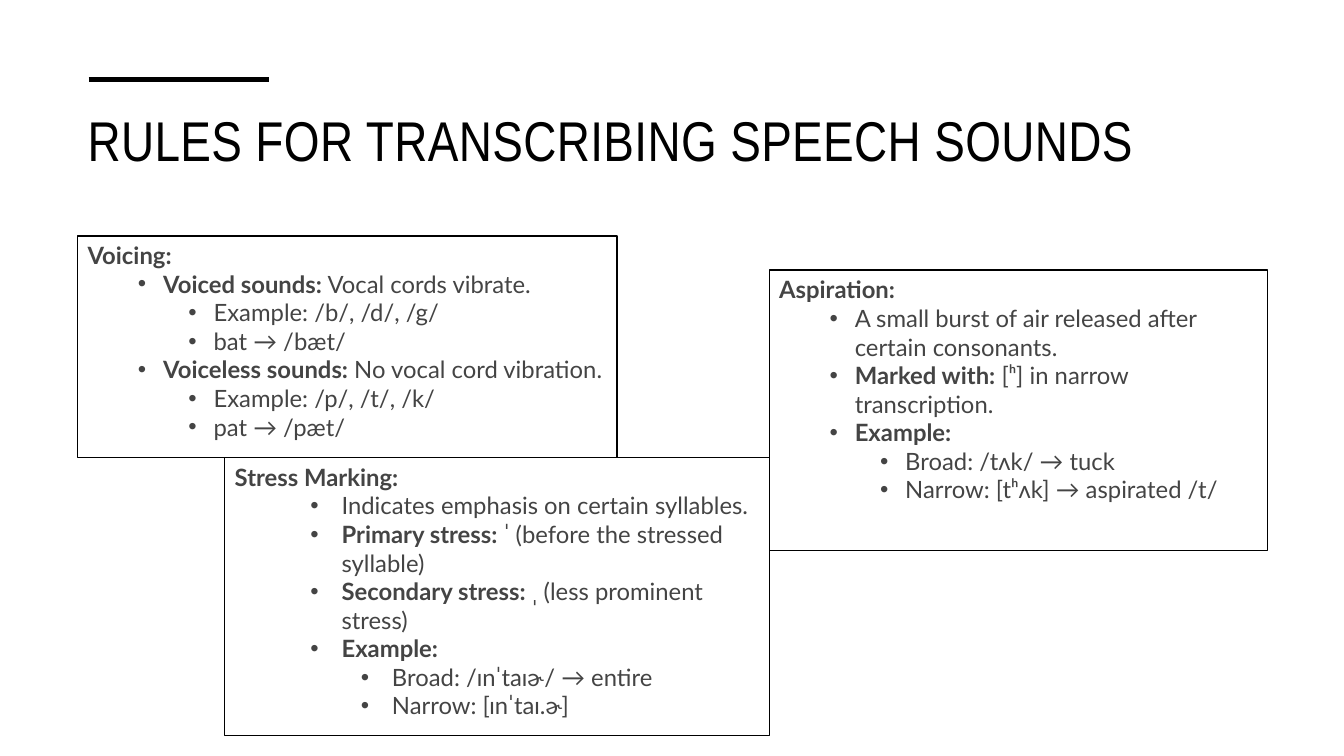
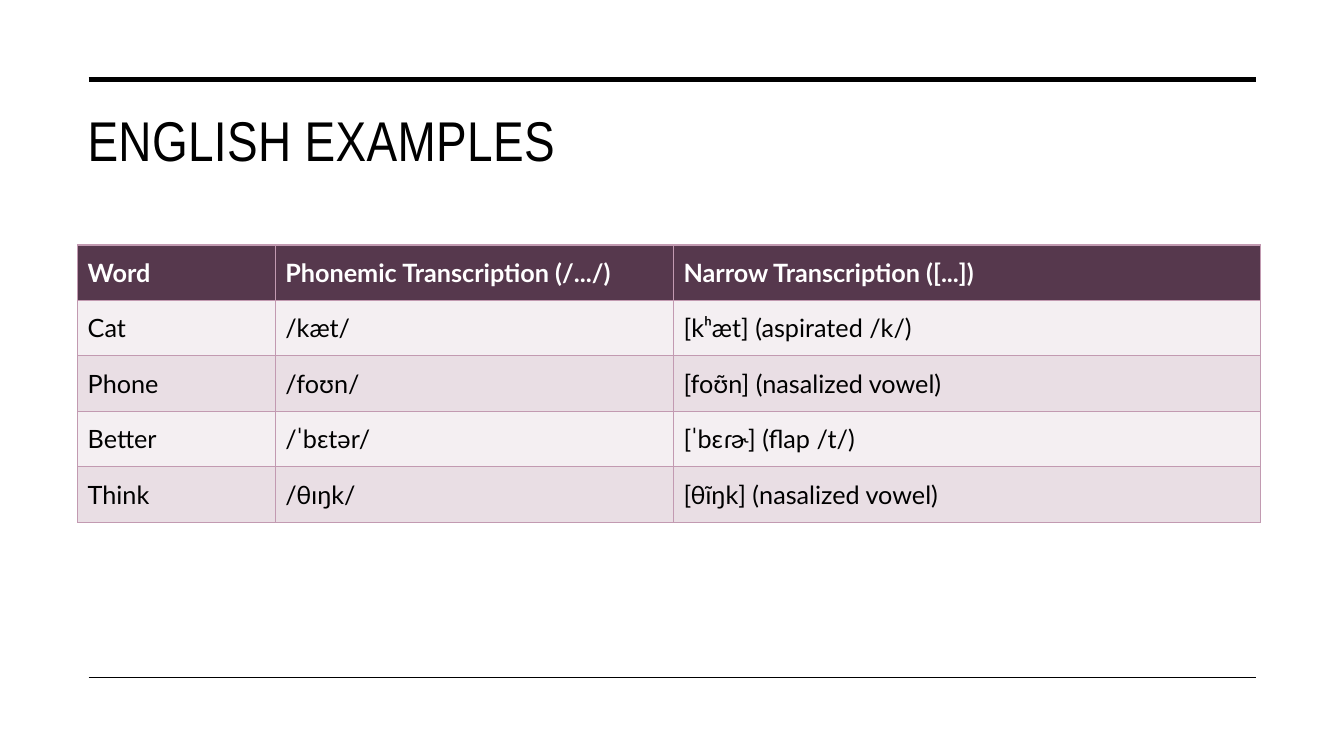
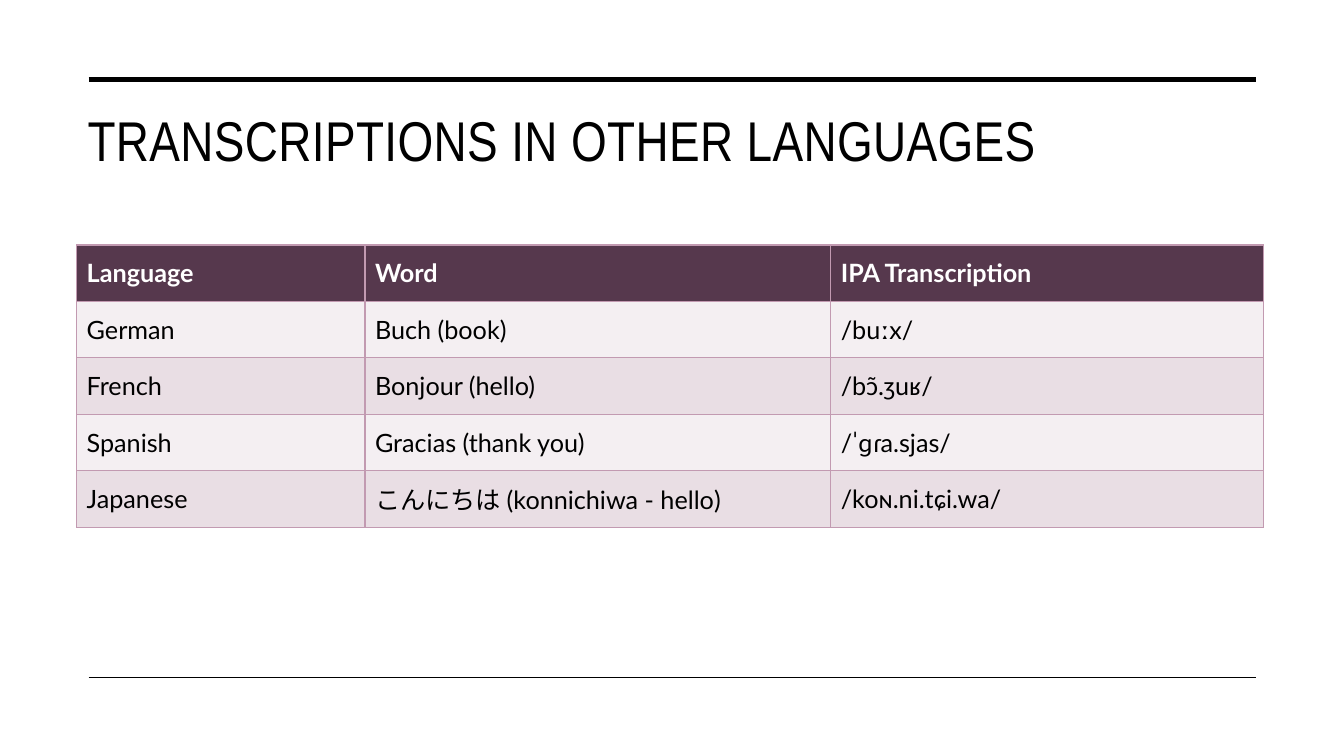
from lxml import etree
from pptx import Presentation
from pptx.dml.color import RGBColor
from pptx.enum.shapes import MSO_CONNECTOR, MSO_SHAPE
from pptx.enum.text import MSO_ANCHOR, PP_ALIGN
from pptx.oxml.ns import qn
from pptx.util import Inches, Pt

STRAIGHT = MSO_CONNECTOR.STRAIGHT
RECTANGLE = MSO_SHAPE.RECTANGLE
TOP, MIDDLE = MSO_ANCHOR.TOP, MSO_ANCHOR.MIDDLE
LEFT = PP_ALIGN.LEFT

BLACK = RGBColor(0x00, 0x00, 0x00)
WHITE = RGBColor(0xFF, 0xFF, 0xFF)
BODY_GREY = RGBColor(0x44, 0x44, 0x44)
HEADER_PLUM = RGBColor(0x56, 0x38, 0x4D)
ROW_TINTS = (RGBColor(0xF4, 0xEF, 0xF2), RGBColor(0xE9, 0xDE, 0xE4))
GRID_MAUVE = RGBColor(0xC2, 0x9A, 0xB1)

TITLE_FONT = {"name": "Arial Narrow", "size": Pt(40)}
BODY_FONT = {"name": "Lato", "size": Pt(17)}
TABLE_FONT = {"name": "Lato", "size": Pt(18)}
TITLE_TRACKING = "30"
TOP_FRAME = {"word_wrap": True, "vertical_anchor": TOP}

RULE_LEFT, RULE_RIGHT = 0.88, 12.46
TOP_RULE, BOTTOM_RULE = 0.79, 6.72
LEVEL_STEP = 0.5

VOICING = [
    (0, "Voicing:", ""),
    (1, "Voiced sounds:", " Vocal cords vibrate."),
    (2, "", "Example: /b/, /d/, /g/"),
    (2, "", "bat → /bæt/"),
    (1, "Voiceless sounds: ", "No vocal cord vibration."),
    (2, "", "Example: /p/, /t/, /k/"),
    (2, "", "pat → /pæt/"),
]
ASPIRATION = [
    (0, "Aspiration:", ""),
    (1, "", "A small burst of air released after certain consonants."),
    (1, "Marked with:", " [ʰ] in narrow transcription."),
    (1, "Example:", ""),
    (2, "", "Broad: /tʌk/ → tuck"),
    (2, "", "Narrow: [tʰʌk] → aspirated /t/"),
]
STRESS = [
    (0, "Stress Marking:", ""),
    (1, "", "Indicates emphasis on certain syllables."),
    (1, "Primary stress:", " ˈ (before the stressed syllable)"),
    (1, "Secondary stress: ", "ˌ (less prominent stress)"),
    (1, "Example:", ""),
    (2, "", "Broad: /ɪnˈtaɪɚ/ → entire"),
    (2, "", "Narrow: [ɪnˈtaɪ.ɚ]"),
]
ENGLISH = [
    ("Word", "Phonemic Transcription (/.../)", "Narrow Transcription ([...])"),
    ("Cat", "/kæt/", "[kʰæt] (aspirated /k/)"),
    ("Phone", "/foʊn/", "[foʊ̃n] (nasalized vowel)"),
    ("Better", "/ˈbɛtər/", "[ˈbɛɾɚ] (flap /t/)"),
    ("Think", "/θɪŋk/", "[θɪ̃ŋk] (nasalized vowel)"),
]
LANGUAGES = [
    ("Language", "Word", "IPA Transcription"),
    ("German", "Buch (book)", "/buːx/"),
    ("French", "Bonjour (hello)", "/bɔ̃.ʒuʁ/"),
    ("Spanish", "Gracias (thank you)", "/ˈɡɾa.sjas/"),
    ("Japanese", "こんにちは (konnichiwa - hello)", "/koɴ.ni.tɕi.wa/"),
]


def apply_format(target, values):
    for name, value in values.items():
        setattr(target, name, value)


def add_run(paragraph, text, font, color, bold=False):
    run = paragraph.add_run()
    run.text = text
    apply_format(run.font, {**font, "bold": bold})
    run.font.color.rgb = color
    return run


def add_rule(slide, y, right, weight):
    rule = slide.shapes.add_connector(
        STRAIGHT, Inches(RULE_LEFT), Inches(y), Inches(right), Inches(y))
    rule.line.color.rgb = BLACK
    rule.line.width = Pt(weight)
    etree.SubElement(rule.element.spPr, qn("a:effectLst"))


def add_title(slide, text):
    title = slide.shapes.add_textbox(
        Inches(0.77), Inches(1), Inches(11.69), Inches(1.15))
    apply_format(title.text_frame, TOP_FRAME)
    run = add_run(title.text_frame.paragraphs[0], text, TITLE_FONT, BLACK)
    run.font._element.set("spc", TITLE_TRACKING)


def set_bullet(paragraph, indent, hanging):
    properties = paragraph._p.get_or_add_pPr()
    properties.set("marL", str(Inches(indent)))
    properties.set("indent", str(-Inches(hanging)))
    etree.SubElement(properties, qn("a:buFont"), typeface="Arial")
    etree.SubElement(properties, qn("a:buChar"), char="•")


def add_rule_box(slide, bounds, lines, indent=0.75, hanging=0.25):
    box = slide.shapes.add_shape(RECTANGLE, *map(Inches, bounds))
    box.shadow.inherit = False
    box.fill.solid()
    box.fill.fore_color.rgb = WHITE
    box.line.color.rgb = BLACK
    box.line.width = Pt(1)
    frame = box.text_frame
    apply_format(frame, TOP_FRAME)
    for index, (level, lead, detail) in enumerate(lines):
        paragraph = frame.add_paragraph() if index else frame.paragraphs[0]
        apply_format(paragraph, {"alignment": LEFT, "level": level})
        if level:
            set_bullet(paragraph, indent + (level - 1) * LEVEL_STEP, hanging)
        for text, bold in ((lead, True), (detail, False)):
            if text:
                add_run(paragraph, text, BODY_FONT, BODY_GREY, bold)


def set_borders(cell):
    properties = cell._tc.get_or_add_tcPr()
    for side in ("a:lnL", "a:lnR", "a:lnT", "a:lnB"):
        border = etree.SubElement(properties, qn(side), w=str(Pt(1)))
        fill = etree.SubElement(border, qn("a:solidFill"))
        etree.SubElement(fill, qn("a:srgbClr"), val=str(GRID_MAUVE))


def add_transcription_table(slide, left, widths, row_height, rows):
    table = slide.shapes.add_table(
        len(rows), len(widths), Inches(left), Inches(2.43),
        Inches(sum(widths)), Inches(row_height * len(rows))).table
    for column, width in zip(table.columns, widths):
        column.width = Inches(width)
    for row_index, texts in enumerate(rows):
        header = row_index == 0
        tint = HEADER_PLUM if header else ROW_TINTS[(row_index - 1) % 2]
        for column_index, text in enumerate(texts):
            cell = table.cell(row_index, column_index)
            cell.vertical_anchor = MIDDLE
            set_borders(cell)
            cell.fill.solid()
            cell.fill.fore_color.rgb = tint
            add_run(cell.text_frame.paragraphs[0], text, TABLE_FONT,
                    WHITE if header else BLACK, header)


def add_slide(deck, title, top_rule_right=RULE_RIGHT):
    slide = deck.slides.add_slide(deck.slide_layouts[6])
    add_rule(slide, TOP_RULE, top_rule_right, 3.5)
    add_title(slide, title)
    return slide


def add_table_slide(deck, title, left, widths, row_height, rows):
    slide = add_slide(deck, title)
    add_rule(slide, BOTTOM_RULE, RULE_RIGHT, 1)
    add_transcription_table(slide, left, widths, row_height, rows)


def main():
    deck = Presentation()
    apply_format(deck, {"slide_width": Inches(13.33), "slide_height": Inches(7.5)})

    rules = add_slide(deck, "RULES FOR TRANSCRIBING SPEECH SOUNDS", 2.67)
    add_rule_box(rules, (0.77, 2.34, 5.35, 2.2), VOICING)
    add_rule_box(rules, (7.63, 2.68, 4.94, 2.78), ASPIRATION)
    add_rule_box(rules, (2.23, 4.54, 5.4, 2.76), STRESS, 1.06, 0.31)

    add_table_slide(deck, "ENGLISH EXAMPLES",
                    0.77, (1.96, 3.95, 5.82), 0.55, ENGLISH)
    add_table_slide(deck, "TRANSCRIPTIONS IN OTHER LANGUAGES",
                    0.76, (2.86, 4.62, 4.29), 0.56, LANGUAGES)
    deck.save("out.pptx")


if __name__ == "__main__":
    main()
